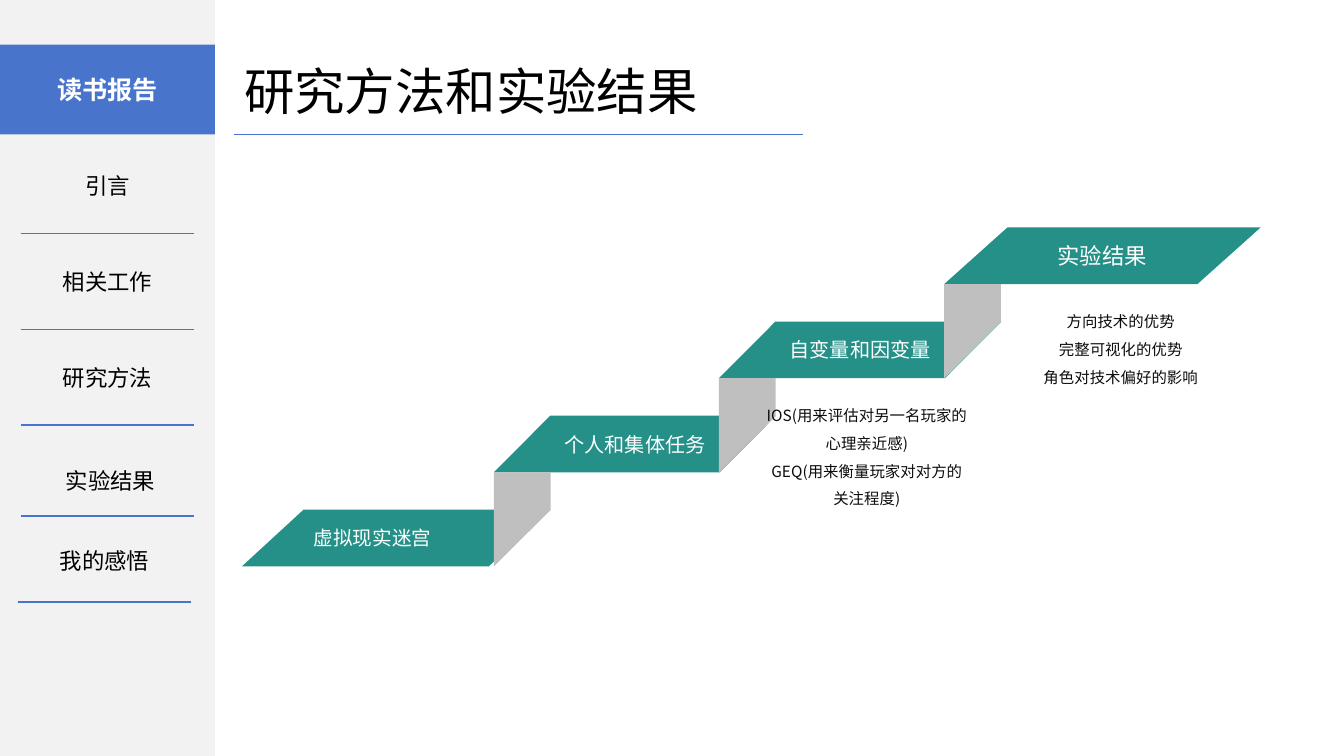
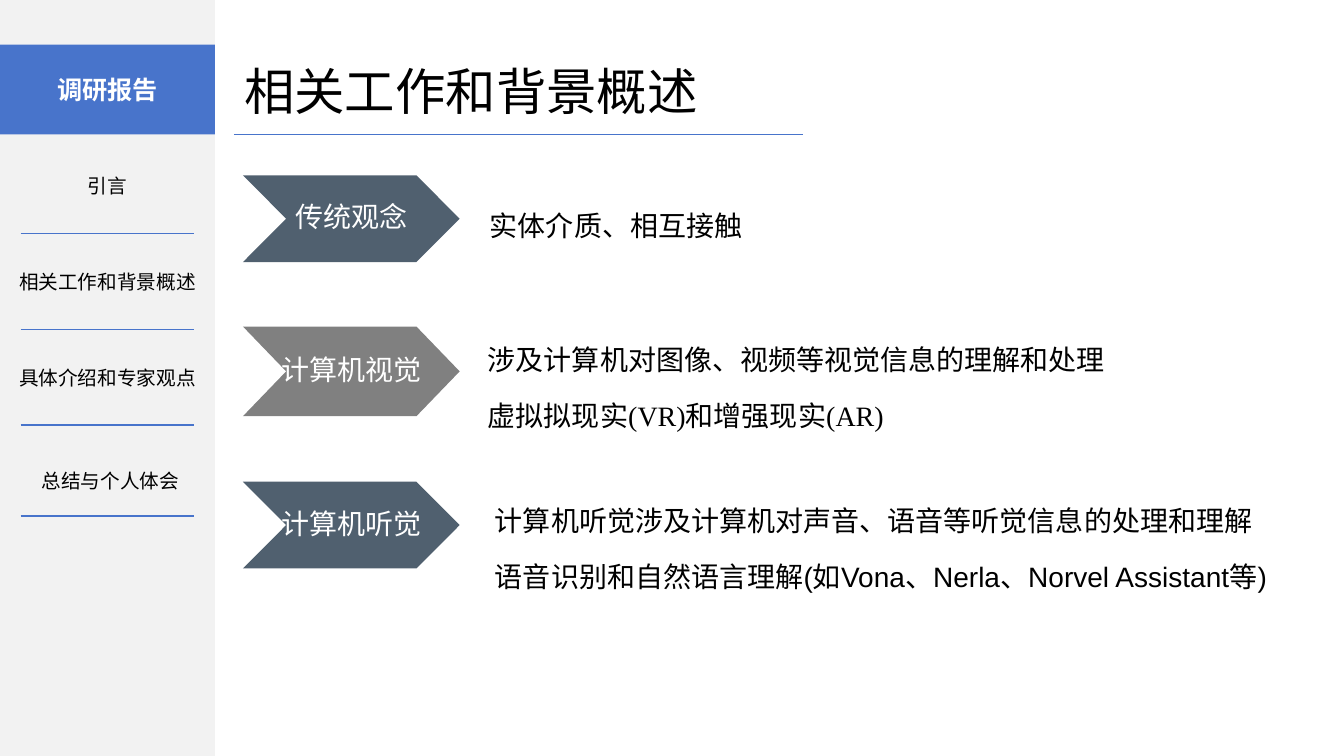
import dataclasses

import pptx
import pptx.dml.color
import pptx.enum.shapes
import pptx.enum.text
import pptx.oxml.ns
import pptx.util
from lxml import etree

ALIGN = pptx.enum.text.PP_ALIGN
ANCHOR = pptx.enum.text.MSO_ANCHOR
SHAPE = pptx.enum.shapes.MSO_SHAPE
COLUMNS, ROWS = 64, 36
WIDTH, HEIGHT = pptx.util.Inches(13.33), pptx.util.Inches(7.5)


@dataclasses.dataclass(frozen=True)
class Theme:
    panel: str = "F2F2F2"
    accent: str = "4874CB"
    teal: str = "249087"
    riser: str = "BFBFBF"
    slate: str = "50606F"
    gray: str = "808080"
    ink: str = "000000"
    soft_ink: str = "0D0D0D"
    white: str = "FFFFFF"
    cjk: str = "Noto Sans CJK SC"
    latin: str = "Arial"
    label: str = "Lato"
    serif: str = "Times New Roman"
    title_size: float = 36
    body_size: float = 20
    band_size: float = 18
    menu_size: float = 16
    small_menu_size: float = 14
    note_size: float = 11
    rule_width: float = 1


THEME = Theme()


def across(columns):
    return pptx.util.Emu(round(columns * WIDTH / COLUMNS))


def down(rows):
    return pptx.util.Emu(round(rows * HEIGHT / ROWS))


def box(left, top, width, height):
    return across(left), down(top), across(width), down(height)


def rgb(color):
    return pptx.dml.color.RGBColor.from_string(color)


def write(frame, paragraphs, size=THEME.body_size, font=THEME.latin, color=THEME.ink,
          bold=False, align=ALIGN.LEFT, anchor=ANCHOR.TOP, spacing=None,
          before=0, insets=(0.48, 0.24), plain_list=False):
    frame.auto_size = pptx.enum.text.MSO_AUTO_SIZE.NONE
    frame.word_wrap = True
    frame.vertical_anchor = anchor
    frame.margin_left = frame.margin_right = across(insets[0])
    frame.margin_top = frame.margin_bottom = down(insets[1])
    for index, content in enumerate(paragraphs):
        paragraph = frame.paragraphs[0] if index == 0 else frame.add_paragraph()
        paragraph.alignment = align
        paragraph.space_before = pptx.util.Pt(before)
        if spacing:
            paragraph.line_spacing = spacing
        if plain_list:
            properties = paragraph._p.get_or_add_pPr()
            properties.set("marL", "0")
            properties.set("indent", "0")
            etree.SubElement(properties, pptx.oxml.ns.qn("a:buNone"))
        pieces = [(content, font)] if isinstance(content, str) else content
        for text, typeface in pieces:
            run = paragraph.add_run()
            run.text = text
            run.font.size = pptx.util.Pt(size)
            run.font.name = typeface
            run.font.bold = bold
            run.font.color.rgb = rgb(color)
            east_asian = etree.Element(pptx.oxml.ns.qn("a:ea"), typeface=THEME.cjk)
            run.font._element.find(pptx.oxml.ns.qn("a:latin")).addnext(east_asian)


class Report:
    """Hold the style and the current slide, and draw each kind of element."""

    def __init__(self, theme):
        self.theme = theme
        self.deck = pptx.Presentation()
        self.deck.slide_width, self.deck.slide_height = WIDTH, HEIGHT
        self.slide = None
        self.bodies = None

    def start(self, report_name, heading, chapters, menu_size):
        theme = self.theme
        self.slide = self.deck.slides.add_slide(self.deck.slide_layouts[3])
        title, *bodies = self.slide.placeholders
        self.bodies = iter(bodies)
        self.block(SHAPE.RECTANGLE, (0, 0, 10.24, ROWS), theme.panel)
        band = self.block(SHAPE.RECTANGLE, (0, 2.13, 10.24, 4.27), theme.accent)
        write(band.text_frame, [report_name], size=theme.band_size, font=theme.cjk,
              color=theme.white, bold=True, align=ALIGN.CENTER, anchor=ANCHOR.MIDDLE)
        self.place(title, (11.14, 2.64, 27.12, 3.41))
        write(title.text_frame, [heading], size=theme.title_size)
        self.rule(11.14, 6.4, 27.12)
        self.menu(chapters, menu_size)

    def menu(self, chapters, size):
        slots = [(0, 6.72 + 4.56 * i, 0.98, 11.12 + 4.56 * i) for i in range(3)]
        slots += [(0.14, 20.74, 0.98, 24.58), (-0.14, 24.58, 0.84, 28.66)]
        for chapter, (left, top, rule_left, rule_top) in zip(chapters, slots):
            self.text((left, top, 10.24, 4.27), [chapter], size=size, font=self.theme.cjk,
                      align=ALIGN.CENTER, anchor=ANCHOR.MIDDLE)
            self.rule(rule_left, rule_top, 8.26)

    def place(self, placeholder, area):
        placeholder.left, placeholder.top, placeholder.width, placeholder.height = box(*area)
        self.slide.shapes._spTree.append(placeholder._element)

    def paint(self, shape, color):
        shape.shadow.inherit = False
        shape.fill.solid()
        shape.fill.fore_color.rgb = rgb(color)
        shape.line.fill.background()
        return shape

    def block(self, kind, area, color):
        return self.paint(self.slide.shapes.add_shape(kind, *box(*area)), color)

    def outline(self, points, color):
        corners = [(across(x), down(y)) for x, y in points]
        builder = self.slide.shapes.build_freeform(*corners[0])
        builder.add_line_segments(corners[1:], close=True)
        return self.paint(builder.convert_to_shape(), color)

    def rule(self, left, top, length):
        line = self.slide.shapes.add_connector(
            pptx.enum.shapes.MSO_CONNECTOR.STRAIGHT,
            across(left), down(top), across(left + length), down(top))
        line.line.color.rgb = rgb(self.theme.accent)
        line.line.width = pptx.util.Pt(self.theme.rule_width)
        etree.SubElement(line._element.spPr, pptx.oxml.ns.qn("a:effectLst"))

    def text(self, area, paragraphs, **style):
        write(self.slide.shapes.add_textbox(*box(*area)).text_frame, paragraphs, **style)

    def listing(self, area, paragraphs, **style):
        body = next(self.bodies)
        self.place(body, area)
        write(body.text_frame, paragraphs, spacing=1.5, plain_list=True, **style)

    def step(self, left, top, width, caption, size, align):
        tread = self.block(SHAPE.FLOWCHART_DATA, (left, top, width, 2.7), self.theme.teal)
        write(tread.text_frame, [caption], size=size, font=self.theme.label,
              color=self.theme.white, align=align, anchor=ANCHOR.MIDDLE)

    def riser(self, left, top):
        right = left + 2.7
        self.outline([(left, top + 4.48), (left, top), (right, top), (right, top + 1.8)],
                     self.theme.riser)

    def chevron(self, top, height, caption, color):
        left, width, notch = 11.57, 10.32, 2.06
        right, middle, bottom = left + width, top + height / 2, top + height
        arrow = self.outline(
            [(left, top), (right - notch, top), (right, middle),
             (right - notch, bottom), (left, bottom), (left + notch, middle)], color)
        write(arrow.text_frame, [caption], font=self.theme.label, color=self.theme.white,
              align=ALIGN.CENTER, anchor=ANCHOR.MIDDLE, spacing=0.9, insets=(1.7, 0.05))


def methods_slide(report):
    report.start("读书报告", "研究方法和实验结果",
                 ["引言", "相关工作", "研究方法", "实验结果", "我的感悟"], THEME.menu_size)
    steps = [
        (11.52, 14.69, "虚拟现实迷宫", 14, ALIGN.LEFT),
        (23.52, 13.44, "个人和集体任务", 14.4, ALIGN.CENTER),
        (34.24, 13.44, "自变量和因变量", 14.4, ALIGN.CENTER),
        (44.96, 15.07, "实验结果", 16, ALIGN.CENTER),
    ]
    for level, (left, width, caption, size, align) in enumerate(steps):
        top = 24.27 - 4.48 * level
        report.step(left, top, width, caption, size, align)
        if level:
            report.riser(left, top + 2.7)
    notes = [
        ((36.24, 18.77, 10.08, 5.57),
         ["IOS(用来评估对另一名玩家的心理亲近感)", "GEQ(用来衡量玩家对对方的关注程度)"]),
        ((47.66, 14.3, 11.42, 4.22),
         ["方向技术的优势", "完整可视化的优势", "角色对技术偏好的影响"]),
    ]
    for area, lines in notes:
        report.listing(area, lines, size=THEME.note_size, font=THEME.cjk,
                       color=THEME.soft_ink, align=ALIGN.CENTER, insets=(0.24, 0.14))


def background_slide(report):
    report.start("调研报告", "相关工作和背景概述",
                 ["引言", "相关工作和背景概述", "具体介绍和专家观点", "总结与个人体会"],
                 THEME.small_menu_size)
    topics = [
        (8.35, 4.13, "传统观念", THEME.slate),
        (15.55, 4.27, "计算机视觉", THEME.gray),
        (22.94, 4.13, "计算机听觉", THEME.slate),
    ]
    for topic in topics:
        report.chevron(*topic)
    report.text((22.85, 8.88, 35.18, 2.69), ["实体介质、相互接触"], spacing=1.5, before=4)
    report.listing((22.75, 15.26, 37.15, 2.69), [
        "涉及计算机对图像、视频等视觉信息的理解和处理",
        [("虚拟拟现", THEME.latin), ("实(VR)和增强现实(AR)", THEME.serif)],
    ], before=4)
    report.listing((23.09, 22.94, 38.93, 3.31), [
        "计算机听觉涉及计算机对声音、语音等听觉信息的处理和理解",
        "语音识别和自然语言理解(如Vona、Nerla、Norvel Assistant等)",
    ], before=4)


def main():
    report = Report(THEME)
    methods_slide(report)
    background_slide(report)
    report.deck.save("out.pptx")


if __name__ == "__main__":
    main()
